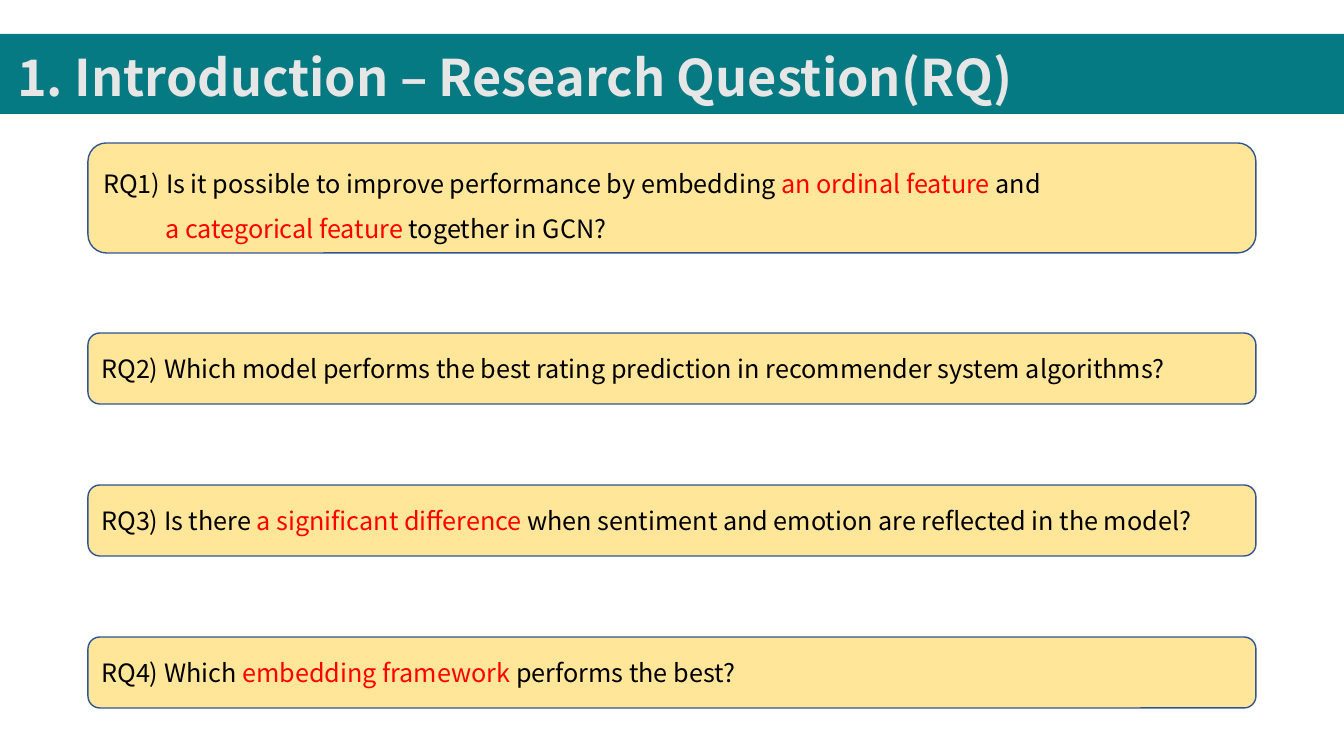
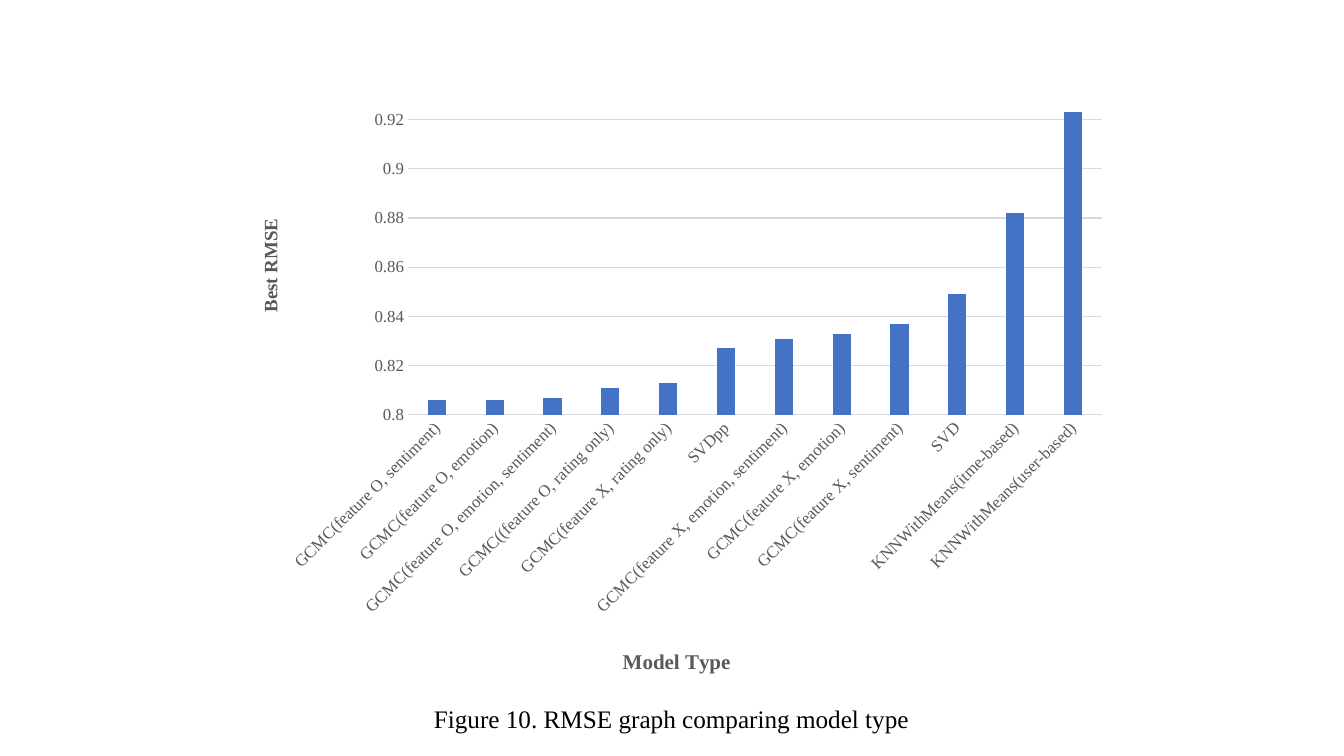
from pptx import Presentation
from pptx import util as u
from pptx.chart import data as chart_data
from pptx.dml import color
from pptx.enum import chart as chart_enum, shapes, text
from pptx.oxml import parse_xml
from pptx.oxml.ns import nsdecls, qn

PX = 914400 / 100.8
SANS, SERIF = "Noto Sans CJK KR", "Times New Roman"
TEAL, LIGHT, CREAM, NAVY = "067A82", "E7E6E6", "FFE699", "325491"
BLACK, RED, BLUE, GREY, RULE = "000000", "FF0000", "4472C4", "595959", "D9D9D9"

TITLE_FONT = {"name": SANS, "size": u.Pt(36), "bold": True}
QUESTION_FONT = {"name": SANS, "size": u.Pt(18)}
CAPTION_FONT = {"name": SERIF, "size": u.Pt(18)}
TICK_FONT = {"name": SERIF, "size": u.Pt(12)}
MIDDLE = {"word_wrap": True, "vertical_anchor": text.MSO_ANCHOR.MIDDLE}
TOP = {"word_wrap": True, "vertical_anchor": text.MSO_ANCHOR.TOP}
LEFT = {"alignment": text.PP_ALIGN.LEFT}
LEFT_SPACED = {**LEFT, "line_spacing": 1.5}

RMSE = {
    "GCMC(feature O, sentiment)": 0.806,
    "GCMC(feature O, emotion)": 0.806,
    "GCMC(feature O, emotion, sentiment)": 0.807,
    "GCMC((feature O, rating only)": 0.811,
    "GCMC(feature X, rating only)": 0.813,
    "SVDpp": 0.827,
    "GCMC(feature X, emotion, sentiment)": 0.831,
    "GCMC(feature X, emotion)": 0.833,
    "GCMC(feature X, sentiment)": 0.837,
    "SVD": 0.849,
    "KNNWithMeans(itme-based)": 0.882,
    "KNNWithMeans(user-based)": 0.923,
}


def px(*lengths):
    """Convert pixel lengths to EMU."""
    return [u.Emu(round(length * PX)) for length in lengths]


def rgb(value):
    """Turn a hex string into a colour."""
    return color.RGBColor.from_string(value)


def assign(target, values):
    """Set each named attribute of the target."""
    for name, value in values.items():
        setattr(target, name, value)


def set_font(font, values, colour):
    """Apply font values and a colour."""
    assign(font, values)
    font.color.rgb = rgb(colour)


def set_line(line, colour, points):
    """Give a line its colour and width."""
    line.color.rgb = rgb(colour)
    line.width = u.Pt(points)


def set_rotation(element, degrees):
    """Rotate the text body held by a chart element."""
    for body in element.xpath(".//a:bodyPr"):
        body.set("rot", str(degrees * 60000))
        body.set("vert", "horz")


def set_layout(element, values):
    """Place a chart part by fractions of the chart area."""
    for old in element.findall(qn("c:layout")):
        element.remove(old)
    entries = "".join(f'<c:{name} val="{value}"/>' for name, value in values.items())
    layout = parse_xml(f'<c:layout {nsdecls("c")}><c:manualLayout>{entries}'
                       "</c:manualLayout></c:layout>")
    element.insert(1 if element.find(qn("c:tx")) is not None else 0, layout)


class Deck:
    """Hold the shared style and the current slide."""

    def __init__(self):
        """Open a wide presentation."""
        self.presentation = Presentation()
        self.presentation.slide_width, self.presentation.slide_height = px(1344, 756)
        self.slide = None

    def add_slide(self, layout):
        """Start a slide on the numbered layout."""
        self.slide = self.presentation.slides.add_slide(
            self.presentation.slide_layouts[layout])

    def fill_text(self, frame, lines, font, colour, frame_format, paragraph_format):
        """Fill a frame, colouring the parts between bars red."""
        assign(frame, frame_format)
        for index, line in enumerate(lines):
            paragraph = frame.add_paragraph() if index else frame.paragraphs[0]
            assign(paragraph, paragraph_format)
            for position, part in enumerate(line.split("|")):
                if part:
                    run = paragraph.add_run()
                    run.text = part
                    set_font(run.font, font, RED if position % 2 else colour)

    def panel(self, kind, box, fill):
        """Add a flat filled shape without an outline."""
        shape = self.slide.shapes.add_shape(kind, *px(*box))
        shape.shadow.inherit = False
        shape.fill.solid()
        shape.fill.fore_color.rgb = rgb(fill)
        shape.line.fill.background()
        return shape

    def title(self, wording):
        """Set the title on a teal band."""
        band = self.panel(shapes.MSO_SHAPE.RECTANGLE, (0, 34, 1344, 80), TEAL)
        title = self.slide.shapes.title
        band._element.addnext(title._element)
        assign(title, dict(zip(("left", "top", "width", "height"), px(7, 15, 1337, 93))))
        frame_format = {**MIDDLE, "auto_size": text.MSO_AUTO_SIZE.SHAPE_TO_FIT_TEXT}
        self.fill_text(title.text_frame, [wording], TITLE_FONT, LIGHT,
                       frame_format, LEFT_SPACED)

    def question(self, top, height, lines):
        """Add a rounded question box, indenting any second line."""
        shape = self.panel(shapes.MSO_SHAPE.ROUNDED_RECTANGLE, (88, top, 1168, height), CREAM)
        set_line(shape.line, NAVY, 1)
        wrapped = len(lines) > 1
        self.fill_text(shape.text_frame, lines, QUESTION_FONT, BLACK,
                       TOP if wrapped else MIDDLE, LEFT_SPACED if wrapped else LEFT)
        for paragraph in shape.text_frame.paragraphs[1:]:
            paragraph._p.get_or_add_pPr().set("marL", str(px(62)[0]))

    def caption(self, box, wording):
        """Add a centred caption."""
        frame = self.slide.shapes.add_textbox(*px(*box)).text_frame
        self.fill_text(frame, [wording], CAPTION_FONT, BLACK, TOP,
                       {"alignment": text.PP_ALIGN.CENTER})

    def axis(self, axis, wording, size, place, box):
        """Style an axis and place its title."""
        axis.major_tick_mark = axis.minor_tick_mark = chart_enum.XL_TICK_MARK.NONE
        set_font(axis.tick_labels.font, TICK_FONT, GREY)
        font = {"name": SERIF, "size": u.Pt(size), "bold": True}
        self.fill_text(axis.axis_title.text_frame, [wording], font, GREY, {}, {})
        left, top, width, height = box
        set_layout(axis.axis_title._element, {
            "xMode": "edge", "yMode": "edge",
            "x": (place[0] - left) / width, "y": (place[1] - top) / height})

    def column_chart(self, box, plot_box, values):
        """Add a column chart with titled axes."""
        data = chart_data.CategoryChartData()
        data.categories = list(values)
        data.add_series("Series 1", list(values.values()))
        chart = self.slide.shapes.add_chart(
            chart_enum.XL_CHART_TYPE.COLUMN_CLUSTERED, *px(*box), data).chart
        assign(chart, {"has_legend": False, "has_title": False})
        set_font(chart.font, {"name": SERIF, "size": u.Pt(10)}, BLACK)
        plot = chart.plots[0]
        assign(plot, {"gap_width": 219, "overlap": -27, "vary_by_categories": False})
        fill = plot.series[0].format.fill
        fill.solid()
        fill.fore_color.rgb = rgb(BLUE)

        category, value = chart.category_axis, chart.value_axis
        self.axis(category, "Model Type", 15, (619, 644), box)
        set_line(category.format.line, RULE, 0.75)
        set_rotation(category._element.find(qn("c:txPr")), -45)
        self.axis(value, "Best RMSE", 13.5, (255, 215), box)
        set_rotation(value.axis_title._element, -90)
        assign(value, {"minimum_scale": 0.8, "maximum_scale": 0.93, "major_unit": 0.02})
        assign(value.tick_labels, {"number_format": "General",
                                   "number_format_is_linked": False})
        set_line(value.major_gridlines.format.line, RULE, 0.75)
        value.format.line.fill.background()

        left, top, width, height = box
        set_layout(chart._chartSpace.chart.plotArea, {
            "layoutTarget": "inner", "xMode": "edge", "yMode": "edge",
            "x": (plot_box[0] - left) / width, "y": (plot_box[1] - top) / height,
            "w": plot_box[2] / width, "h": plot_box[3] / height})


def main():
    """Build and save both slides."""
    deck = Deck()
    deck.add_slide(5)
    deck.title("1. Introduction – Research Question(RQ)")
    deck.question(143, 110, [
        "RQ1) Is it possible to improve performance by embedding |an ordinal feature |and",
        "|a categorical feature |together in GCN?"])
    for index, wording in enumerate((
            "RQ2) Which model performs the best rating prediction in recommender system algorithms?",
            "RQ3) Is there |a significant difference |when sentiment and emotion are reflected in the model?",
            "RQ4) Which |embedding framework| performs the best?")):
        deck.question(333 + 152 * index, 71, [wording])

    deck.add_slide(6)
    deck.column_chart((224, 84, 896, 597), (408, 95, 694, 320), RMSE)
    deck.caption((304, 698, 735, 40), "Figure 10. RMSE graph comparing model type")
    deck.presentation.save("out.pptx")


if __name__ == "__main__":
    main()
